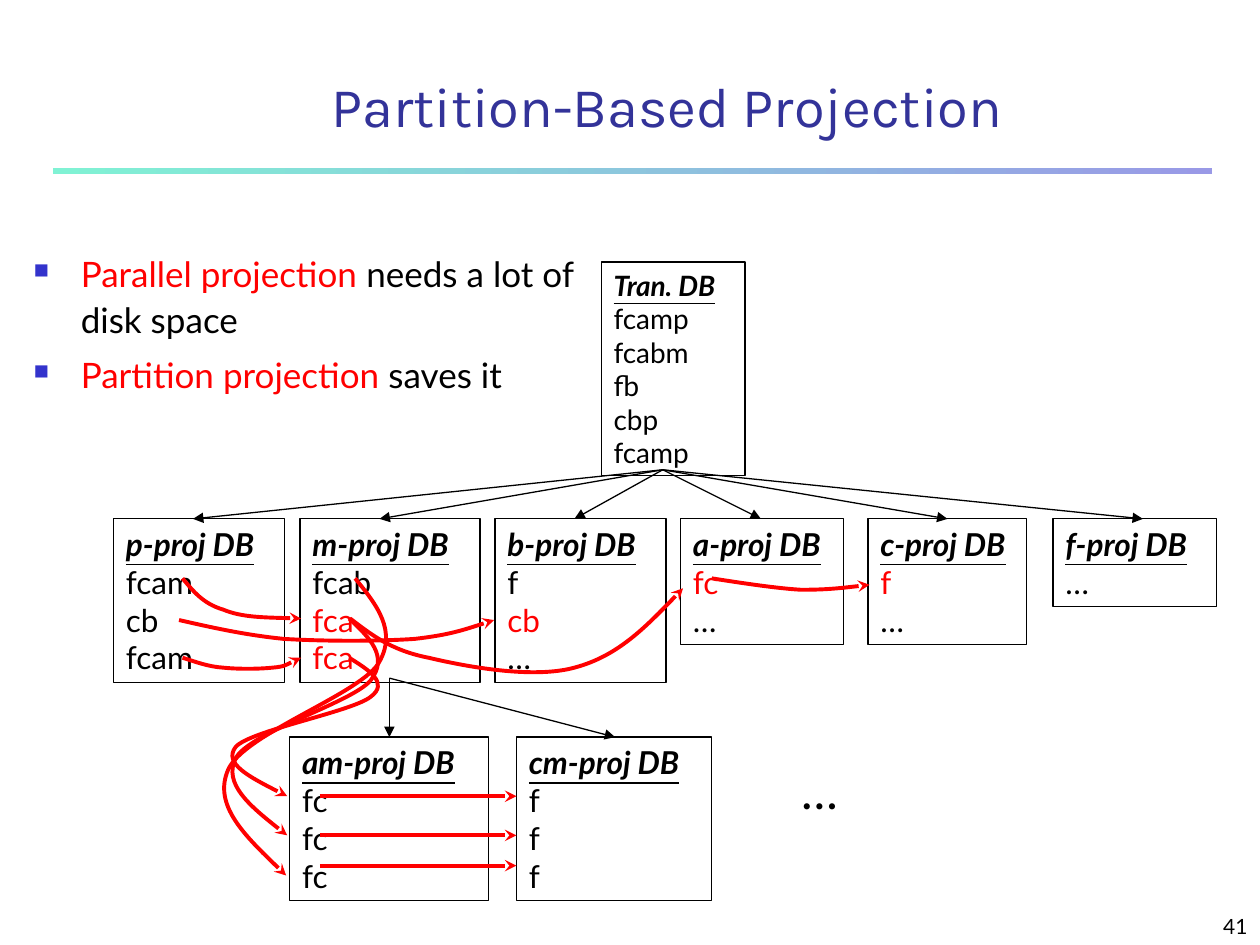
"""Build the slide on partition-based projection of transaction databases."""
import dataclasses
import typing

import lxml.etree
import pptx
import pptx.dml.color
import pptx.enum.shapes
import pptx.enum.text
import pptx.oxml.ns
import pptx.util

Cm = pptx.util.Cm
qualified = pptx.oxml.ns.qn
Point = tuple[float, float]

COLORS = {
    "black": "000000", "red": "FF0000", "title": "333399", "bullet": "3333CC",
    "rule_start": "80F2D4", "rule_end": "9999E6",
}
LEVEL_ONE, LEVEL_TWO = 10.46, 14.86
TRANSACTION_EXIT, M_EXIT = (13.36, 9.47), (7.85, 13.67)


@dataclasses.dataclass
class Database:
    """A boxed database with a heading, its rows and the red row numbers."""
    name: str
    left: float
    top: float
    width: float
    rows: list[str]
    red_rows: tuple[int, ...] = ()
    size: int = 18


@dataclasses.dataclass
class Arrow:
    """A straight arrow or, given cubic control points, a curved one."""
    points: list[Point]
    color: str = "red"
    width: float = 2.25
    head: str = "stealth"


DATABASES = [
    Database("Tran. DB", 12.12, 5.28, 2.9, ["fcamp", "fcabm", "fb", "cbp", "fcamp"], size=16),
    Database("p-proj DB", 2.29, LEVEL_ONE, 3.45, ["fcam", "cb", "fcam"]),
    Database("m-proj DB", 6.05, LEVEL_ONE, 3.63, ["fcab", "fca", "fca"], (1, 2)),
    Database("b-proj DB", 9.98, LEVEL_ONE, 3.45, ["f", "cb", "…"], (1,)),
    Database("a-proj DB", 13.72, LEVEL_ONE, 3.28, ["fc", "…"], (0,)),
    Database("c-proj DB", 17.5, LEVEL_ONE, 3.2, ["f", "…"], (0,)),
    Database("f-proj DB", 21.23, LEVEL_ONE, 3.3, ["…"]),
    Database("am-proj DB", 5.84, LEVEL_TWO, 4.01, ["fc"] * 3),
    Database("cm-proj DB", 10.41, LEVEL_TWO, 3.94, ["f"] * 3),
]
TREE_EDGES = [
    *((TRANSACTION_EXIT, (x, LEVEL_ONE)) for x in (3.89, 7.65, 11.58, 15.34, 19.1, 23.04)),
    *((M_EXIT, (x, LEVEL_TWO)) for x in (7.85, 12.4)),
]
ROW_MOVES = [[(6.45, y), (10.41, y)] for y in (16.05, 16.84, 17.45)]
CURVED_MOVES = [
    [(3.68, 11.66), (3.89, 11.91), (4.09, 12.17), (4.5, 12.29),
     (4.88, 12.45), (5.49, 12.45), (6.07, 12.47)],
    [(7.06, 12.47), (7.47, 12.78), (7.87, 13.11), (8.64, 13.26), (9.4, 13.44),
     (10.74, 13.69), (11.58, 13.46), (12.45, 13.23), (13.11, 12.55), (13.77, 11.86)],
    [(14.35, 11.66), (14.99, 11.76), (15.65, 11.86), (16.15, 11.89),
     (16.69, 11.89), (17.09, 11.84), (17.53, 11.79)],
    [(3.68, 13.26), (3.94, 13.34), (4.19, 13.44), (4.5, 13.46), (4.78, 13.49),
     (5.21, 13.49), (5.49, 13.46), (5.74, 13.44), (5.89, 13.34), (6.07, 13.26)],
    [(7.04, 13.26), (7.44, 13.51), (7.85, 13.77), (7.47, 14.05), (7.09, 14.35),
     (5.03, 14.73), (4.75, 15.06), (4.5, 15.39), (5.13, 15.72), (5.79, 16.05)],
    [(7.04, 12.47), (7.44, 12.85), (7.85, 13.23), (7.47, 13.72), (7.09, 14.17),
     (5.03, 14.76), (4.75, 15.29), (4.5, 15.8), (5.13, 16.33), (5.79, 16.84)],
    [(7.16, 11.66), (7.59, 12.19), (8.03, 12.73), (7.62, 13.39), (7.19, 14.02),
     (4.9, 14.81), (4.6, 15.52), (4.29, 16.23), (5.03, 16.94), (5.77, 17.65)],
    [(3.61, 12.5), (4.27, 12.65), (4.93, 12.8), (5.72, 12.88), (6.53, 12.93),
     (7.65, 12.93), (8.36, 12.88), (9.07, 12.8), (9.5, 12.65), (9.96, 12.5)],
]
BULLETS = [
    ("Parallel projection ", "needs a lot of disk space"),
    ("Partition projection ", "saves it"),
]


def rgb(name: str) -> pptx.dml.color.RGBColor:
    return pptx.dml.color.RGBColor.from_string(COLORS[name])


def write(paragraph: typing.Any, text: str, *, size: float, color: str = "black",
          font: str = "Lato", heading: bool = False) -> None:
    run = paragraph.add_run()
    run.text = text
    run.font.name = font
    run.font.size = pptx.util.Pt(size)
    run.font.bold = run.font.italic = run.font.underline = heading
    run.font.color.rgb = rgb(color)


def add_text_box(slide: typing.Any, left: float, top: float, width: float,
                 height: float) -> typing.Any:
    shape = slide.shapes.add_textbox(Cm(left), Cm(top), Cm(width), Cm(height))
    shape.text_frame.word_wrap = True
    return shape


def add_title(slide: typing.Any, text: str) -> None:
    title = slide.shapes.title
    title.left, title.top, title.width, title.height = Cm(2.54), Cm(1.27), Cm(21.82), Cm(1.7)
    title.text_frame.vertical_anchor = pptx.enum.text.MSO_ANCHOR.MIDDLE
    paragraph = title.text_frame.paragraphs[0]
    paragraph.alignment = pptx.enum.text.PP_ALIGN.CENTER
    write(paragraph, text, size=32, color="title", font="Karla")


def add_rule(slide: typing.Any) -> None:
    rule = slide.shapes.add_shape(pptx.enum.shapes.MSO_SHAPE.RECTANGLE,
                                  Cm(1.07), Cm(3.38), Cm(23.37), Cm(0.13))
    rule.shadow.inherit = False
    rule.line.fill.background()
    rule.fill.gradient()
    rule.fill.gradient_angle = 0
    for stop, color in zip(rule.fill.gradient_stops, ("rule_start", "rule_end")):
        stop.color.rgb = rgb(color)


def add_bullets(slide: typing.Any) -> None:
    frame = add_text_box(slide, 0.43, 4.88, 11.43, 3.81).text_frame
    for index, (term, remark) in enumerate(BULLETS):
        paragraph = frame.add_paragraph() if index else frame.paragraphs[0]
        paragraph.line_spacing = 1.1
        paragraph.space_before = pptx.util.Pt(5 if index else 0)
        properties = paragraph._p.get_or_add_pPr()
        properties.set("marL", str(Cm(0.95)))
        properties.set("indent", str(-Cm(0.95)))
        color = lxml.etree.SubElement(properties, qualified("a:buClr"))
        lxml.etree.SubElement(color, qualified("a:srgbClr"), val=COLORS["bullet"])
        lxml.etree.SubElement(properties, qualified("a:buSzPct"), val="60000")
        lxml.etree.SubElement(properties, qualified("a:buChar"), char="■")
        write(paragraph, term, size=20, color="red")
        write(paragraph, remark, size=20)


def add_database(slide: typing.Any, database: Database) -> None:
    height = 0.25 + 0.0423 * database.size * (len(database.rows) + 1)
    shape = add_text_box(slide, database.left, database.top, database.width, height)
    shape.line.color.rgb = rgb("black")
    shape.line.width = pptx.util.Pt(0.75)
    frame = shape.text_frame
    write(frame.paragraphs[0], database.name, size=database.size, heading=True)
    for index, row in enumerate(database.rows):
        color = "red" if index in database.red_rows else "black"
        write(frame.add_paragraph(), row, size=database.size, color=color)


def add_curve(slide: typing.Any, points: list[Point]) -> typing.Any:
    start, *controls = [(Cm(x), Cm(y)) for x, y in points]
    builder = slide.shapes.build_freeform(*start)
    builder.add_line_segments(controls, close=False)
    shape = builder.convert_to_shape()
    shape.fill.background()
    segments = list(shape._element.iter(qualified("a:lnTo")))
    outline = segments[0].getparent()
    for index in range(0, len(segments), 3):
        cubic = lxml.etree.SubElement(outline, qualified("a:cubicBezTo"))
        for segment in segments[index:index + 3]:
            cubic.append(segment[0])
            outline.remove(segment)
    return shape


def add_arrow(slide: typing.Any, arrow: Arrow) -> None:
    if len(arrow.points) == 2:
        ends = [Cm(value) for point in arrow.points for value in point]
        shape = slide.shapes.add_connector(pptx.enum.shapes.MSO_CONNECTOR.STRAIGHT, *ends)
    else:
        shape = add_curve(slide, arrow.points)
    shape.line.color.rgb = rgb(arrow.color)
    shape.line.width = pptx.util.Pt(arrow.width)
    properties = shape._element.spPr
    line = properties.find(qualified("a:ln"))
    lxml.etree.SubElement(line, qualified("a:tailEnd"), type=arrow.head)
    lxml.etree.SubElement(properties, qualified("a:effectLst"))


def main() -> None:
    presentation = pptx.Presentation()
    presentation.slide_width, presentation.slide_height = Cm(25.4), Cm(19.05)
    slide = presentation.slides.add_slide(presentation.slide_layouts[5])
    add_rule(slide)
    add_title(slide, "Partition-Based Projection")
    add_bullets(slide)
    for database in DATABASES:
        add_database(slide, database)
    for edge in TREE_EDGES:
        add_arrow(slide, Arrow(list(edge), "black", 0.75, "triangle"))
    for points in CURVED_MOVES + ROW_MOVES:
        add_arrow(slide, Arrow(points))
    more = add_text_box(slide, 15.9, 15.21, 1.27, 1.45)
    write(more.text_frame.paragraphs[0], "…", size=28)
    number = add_text_box(slide, 20.12, 17.98, 5.28, 1.07)
    number.text_frame.vertical_anchor = pptx.enum.text.MSO_ANCHOR.BOTTOM
    number.text_frame.paragraphs[0].alignment = pptx.enum.text.PP_ALIGN.RIGHT
    write(number.text_frame.paragraphs[0], "41", size=12)
    presentation.save("out.pptx")


if __name__ == "__main__":
    main()
